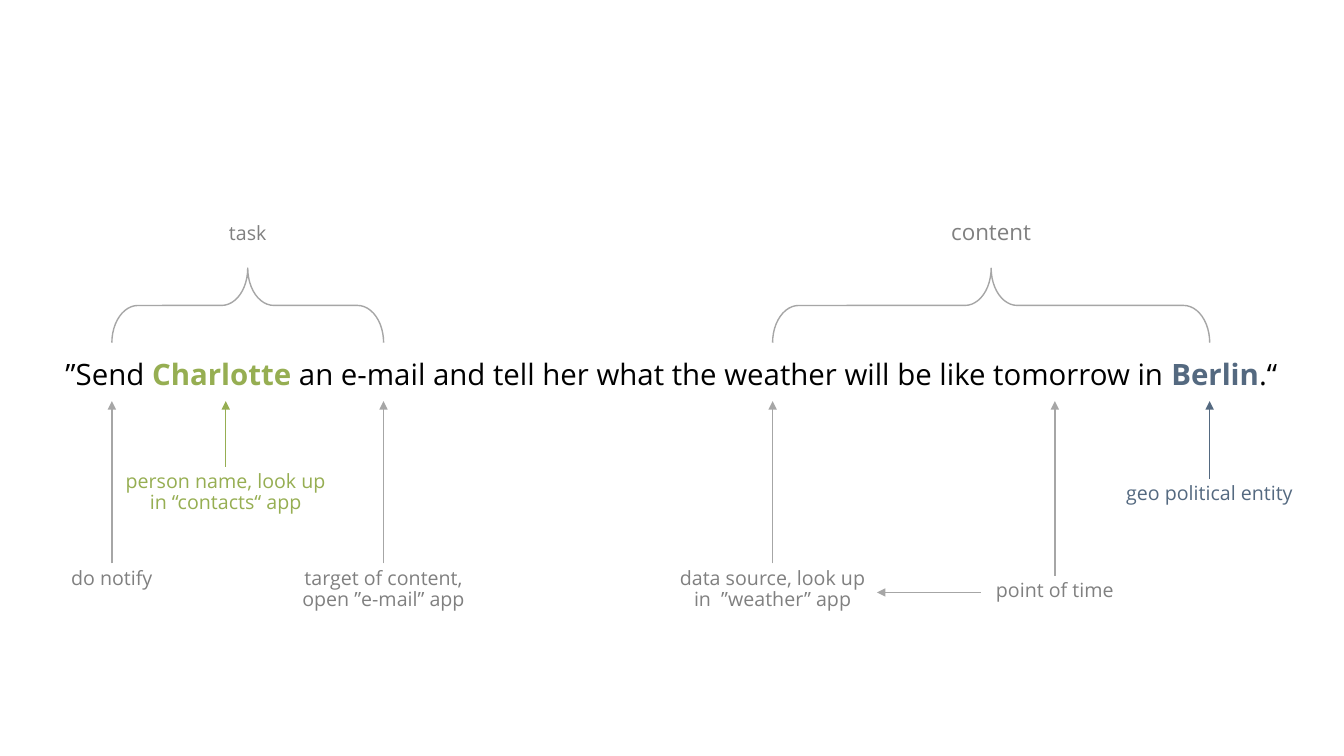
"""Build a slide that annotates the parts of a spoken assistant command."""
from dataclasses import dataclass

from lxml import etree
from pptx import Presentation, util as u
from pptx.dml.color import RGBColor
from pptx.enum import shapes, text
from pptx.oxml.ns import qn

COLORS = {"black": "000000", "gray": "808080", "line": "A6A6A6",
          "green": "96AE52", "blue": "546980"}
FONT = "Open Sans"
COLUMNS, ROWS = 133.33, 75
SLIDE_WIDTH, SLIDE_HEIGHT = u.Inches(13.33), u.Inches(7.5)
ARROW_TIP_ROW = 39.8
BRACE_TOP, BRACE_DEPTH = 26.6, 7.4
LINE_HEIGHT, INSETS = 2.35, 1.0


@dataclass(frozen=True)
class Span:
    """A stretch of text in one colour and weight."""
    words: str
    color: str = "gray"
    bold: bool = False


@dataclass(frozen=True)
class Note:
    """A label under the sentence whose arrow points up at a word."""
    lines: tuple[str, ...]
    center: float
    top: float
    width: float
    rows: int = 1
    color: str = "gray"
    arrow: str = "line"


@dataclass(frozen=True)
class Group:
    """A brace over the words between two notes, with its heading."""
    heading: str
    first: Note
    last: Note
    top: float
    width: float
    height: float
    size: int


SENTENCE = (
    Span("”Send ", "black"),
    Span("Charlotte", "green", True),
    Span(" an e-mail and tell her what the weather will be like tomorrow in ", "black"),
    Span("Berlin", "blue", True),
    Span(".“", "black"),
)
NOTIFY = Note(("do notify",), 11.1, 55.9, 14.2)
PERSON = Note(("person name, look up", "in “contacts“ app"), 22.4, 46.3, 24.8, 2,
              "green", "green")
TARGET = Note(("target of content, open ”e-mail” app",), 38.05, 55.9, 20.7, 2)
SOURCE = Note(("data source, look up in  ”weather” app",), 76.65, 55.9, 20.7, 2)
TIME = Note(("point of time",), 104.65, 57.1, 14.7)
PLACE = Note(("geo political entity",), 120, 47.5, 24.8, 1, "blue", "blue")
NOTES = (NOTIFY, PERSON, TARGET, SOURCE, TIME, PLACE)
GROUPS = (Group("task", NOTIFY, TARGET, 21.7, 19, 3.4, 14),
          Group("content", SOURCE, PLACE, 21.5, 26.5, 3.7, 16))


def across(columns: float) -> int:
    """Turn grid columns into a length."""
    return round(SLIDE_WIDTH * columns / COLUMNS)


def down(rows: float) -> int:
    """Turn grid rows into a length."""
    return round(SLIDE_HEIGHT * rows / ROWS)


def color_of(name: str) -> RGBColor:
    """Look up a named colour."""
    return RGBColor.from_string(COLORS[name])


def apply(target: object, values: dict[str, object]) -> None:
    """Set each format value on the target."""
    for name, value in values.items():
        setattr(target, name, value)


def add_text(page, left: float, top: float, width: float, height: float,
             lines: list[tuple[Span, ...]], size: int, align: text.PP_ALIGN,
             wrap: bool = True) -> None:
    """Add a text box with one paragraph per line of spans."""
    box = page.shapes.add_textbox(across(left), down(top), across(width), down(height))
    frame = box.text_frame
    frame.word_wrap = wrap
    for index, spans in enumerate(lines):
        para = frame.add_paragraph() if index else frame.paragraphs[0]
        apply(para, {"alignment": align, "line_spacing": 0.9})
        for span in spans:
            run = para.add_run()
            run.text = span.words
            apply(run.font, {"name": FONT, "size": u.Pt(size), "bold": span.bold})
            run.font.color.rgb = color_of(span.color)


def add_arrow(page, start: tuple[float, float], end: tuple[float, float],
              color: str) -> None:
    """Draw a straight arrow between two grid points."""
    arrow = page.shapes.add_connector(shapes.MSO_CONNECTOR.STRAIGHT,
                                      across(start[0]), down(start[1]),
                                      across(end[0]), down(end[1]))
    arrow.line.width = u.Pt(1)
    arrow.line.color.rgb = color_of(color)
    etree.SubElement(arrow.line._get_or_add_ln(), qn("a:tailEnd"), type="triangle")
    etree.SubElement(arrow._element.spPr, qn("a:effectLst"))


def add_note(page, note: Note) -> None:
    """Draw a note and the arrow from its top to the sentence."""
    add_text(page, note.center - note.width / 2, note.top, note.width,
             note.rows * LINE_HEIGHT + INSETS,
             [(Span(line, note.color),) for line in note.lines],
             14, text.PP_ALIGN.CENTER)
    add_arrow(page, (note.center, note.top), (note.center, ARROW_TIP_ROW), note.arrow)


def add_group(page, group: Group) -> None:
    """Draw a brace turned to open downwards and its heading."""
    middle = (group.first.center + group.last.center) / 2
    length = group.last.center - group.first.center
    brace = page.shapes.add_shape(
        shapes.MSO_SHAPE.LEFT_BRACE, across(middle - BRACE_DEPTH / 2),
        down(BRACE_TOP + BRACE_DEPTH / 2 - length / 2),
        across(BRACE_DEPTH), down(length))
    brace.rotation = 90
    brace.adjustments[0] = 0.35
    brace.shadow.inherit = False
    brace.fill.background()
    brace.line.width = u.Pt(1)
    brace.line.color.rgb = color_of("line")
    add_text(page, middle - group.width / 2, group.top, group.width, group.height,
             [(Span(group.heading),)], group.size, text.PP_ALIGN.CENTER)


def main() -> None:
    """Build and save the deck."""
    deck = Presentation()
    apply(deck, {"slide_width": SLIDE_WIDTH, "slide_height": SLIDE_HEIGHT})
    page = deck.slides.add_slide(deck.slide_layouts[6])
    add_text(page, 5.5, 35.2, 122.3, 4.5, [SENTENCE], 21, text.PP_ALIGN.LEFT, False)
    for group in GROUPS:
        add_group(page, group)
    for note in NOTES:
        add_note(page, note)
    link_row = TIME.top + (LINE_HEIGHT + INSETS) / 2
    add_arrow(page, (TIME.center - TIME.width / 2, link_row),
              (SOURCE.center + SOURCE.width / 2, link_row), "line")
    deck.save("out.pptx")


main()
